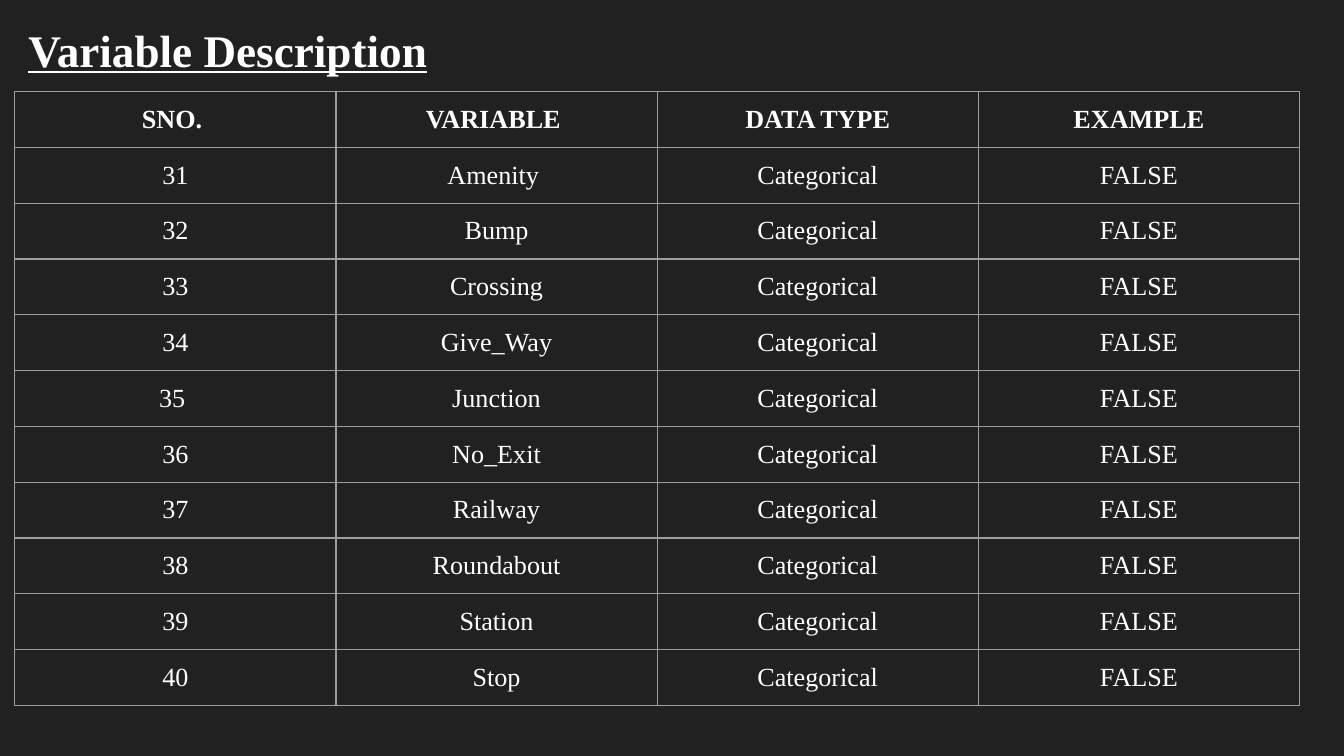
from lxml import etree
from pptx import Presentation
from pptx.dml.color import RGBColor
from pptx.enum.text import MSO_ANCHOR, MSO_AUTO_SIZE, PP_ALIGN
from pptx.oxml.ns import qn
from pptx.util import Cm, Pt

LEFT, CENTER = PP_ALIGN.LEFT, PP_ALIGN.CENTER
TOP, MIDDLE = MSO_ANCHOR.TOP, MSO_ANCHOR.MIDDLE
NO_AUTOFIT = MSO_AUTO_SIZE.NONE
INSET = Cm(0.254)
BORDER_COLOR = "9E9E9E"
BORDER_WIDTH = Pt(0.75)

HEADINGS = ["SNO. ", "VARIABLE ", "DATA TYPE", "EXAMPLE"]
VARIABLES = ["Amenity ", "Bump", "Crossing", "Give_Way", "Junction",
             "No_Exit", "Railway", "Roundabout", "Station", "Stop"]
FIRST_NUMBER = 31


def format_text(holder, size, bold, align):
    """Set insets, alignment and font of a one-paragraph shape or cell."""
    holder.margin_left = holder.margin_right = INSET
    holder.margin_top = holder.margin_bottom = INSET
    paragraph = getattr(holder, "text_frame", holder).paragraphs[0]
    paragraph.alignment = align
    font = paragraph.runs[0].font
    font.name = "Times New Roman"
    font.size = Pt(size)
    font.bold = bold
    font.color.rgb = RGBColor.from_string("FFFFFF")
    return font


def add_borders(cell):
    properties = cell._tc.get_or_add_tcPr()
    for position, side in enumerate(["lnL", "lnR", "lnT", "lnB"]):
        line = etree.Element(qn(f"a:{side}"), w=str(BORDER_WIDTH))
        fill = etree.SubElement(line, qn("a:solidFill"))
        etree.SubElement(fill, qn("a:srgbClr"), val=BORDER_COLOR)
        properties.insert(position, line)


presentation = Presentation()
presentation.slide_width = Cm(25.4)
presentation.slide_height = Cm(14.29)
slide = presentation.slides.add_slide(presentation.slide_layouts[5])
slide.background.fill.solid()
slide.background.fill.fore_color.rgb = RGBColor.from_string("212121")

# Title
title = slide.shapes.title
title.left, title.top = Cm(0.28), Cm(0.13)
title.width, title.height = Cm(23.67), Cm(1.6)
heading = title.text_frame
heading.text = "Variable Description"
heading.auto_size = NO_AUTOFIT
heading.vertical_anchor = MIDDLE
format_text(heading, 24.2, True, LEFT).underline = True

# Table of variables
rows = [HEADINGS]
for number, variable in enumerate(VARIABLES, FIRST_NUMBER):
    # The number 35 carries a trailing space that shifts it off centre
    label = "35 " if number == 35 else str(number)
    rows.append([label, variable, "Categorical", "FALSE"])

column_width, row_height = Cm(6.07), Cm(1.04)
variable_table = slide.shapes.add_table(
    len(rows), len(HEADINGS), Cm(0.28), Cm(1.73),
    column_width * len(HEADINGS), row_height * len(rows)).table
variable_table.horz_banding = False
variable_table.first_row = False

for row_index, values in enumerate(rows):
    variable_table.rows[row_index].height = row_height
    for column_index, value in enumerate(values):
        cell = variable_table.cell(row_index, column_index)
        cell.text_frame.text = value
        cell.vertical_anchor = TOP
        cell.fill.background()
        format_text(cell, 14, row_index == 0, CENTER)
        add_borders(cell)

presentation.save("out.pptx")
